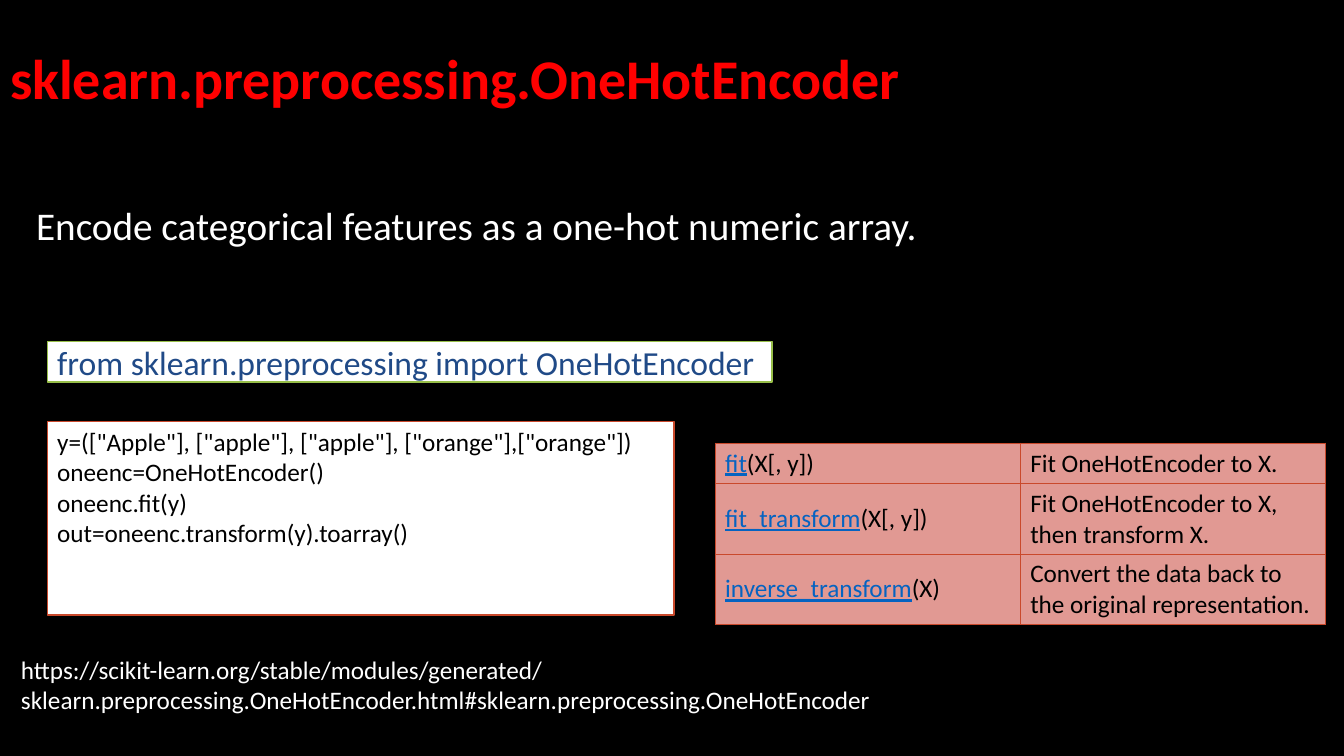
from lxml import etree
from pptx import Presentation
from pptx import util as u
from pptx.dml.color import RGBColor
from pptx.enum import shapes, text
from pptx.oxml import ns

BLACK = RGBColor(0x00, 0x00, 0x00)
WHITE = RGBColor(0xFF, 0xFF, 0xFF)
RED = RGBColor(0xFF, 0x00, 0x00)
CODE_BLUE = RGBColor(0x20, 0x4A, 0x87)
LINK_BLUE = RGBColor(0x05, 0x63, 0xC1)
GREEN = RGBColor(0x97, 0xBE, 0x49)
RUST = RGBColor(0xC9, 0x49, 0x2C)
SALMON = RGBColor(0xE1, 0x99, 0x93)

CODE_LINES = [
    'y=(["Apple"],\u00a0["apple"],\u00a0["apple"],\u00a0["orange"],["orange"])',
    "oneenc=OneHotEncoder()",
    "oneenc.fit(y)",
    "out=oneenc.transform(y).toarray()",
]
METHODS = [
    ("fit", "(X[,\u00a0y])", "Fit OneHotEncoder to X."),
    ("fit_transform", "(X[,\u00a0y])", "Fit OneHotEncoder to X, then transform X."),
    ("inverse_transform", "(X)", "Convert the data back to the original representation."),
]
ROW_HEIGHTS = [28.8, 50.4, 50.4]
URL = ("https://scikit-learn.org/stable/modules/generated/"
       "sklearn.preprocessing.OneHotEncoder.html#sklearn.preprocessing.OneHotEncoder")


def place(shape, box):
    shape.left, shape.top, shape.width, shape.height = map(u.Pt, box)


def format_paragraph(paragraph, size, color, bold=False):
    paragraph.alignment = text.PP_ALIGN.LEFT
    font = paragraph.font
    font.name, font.size, font.bold = "Calibri", u.Pt(size), bold
    font.color.rgb = color


def write_lines(frame, lines, size, color, spacing=1.0, bold=False):
    frame.text = "\n".join(lines)
    for paragraph in frame.paragraphs:
        format_paragraph(paragraph, size, color, bold)
        paragraph.line_spacing = spacing


def add_title(slide, box):
    title = slide.shapes.title
    place(title, box)
    title.text_frame.vertical_anchor = text.MSO_ANCHOR.MIDDLE
    write_lines(title.text_frame, ["sklearn.preprocessing.OneHotEncoder"], 40, RED, 0.9, True)


def add_plain_text(slide, box, content, size, spacing=1.0):
    shape = slide.shapes.add_textbox(*map(u.Pt, box))
    shape.text_frame.word_wrap = True
    write_lines(shape.text_frame, [content], size, WHITE, spacing)


def add_code_box(slide, box, lines, size, color, outline, anchor, vertical_inset):
    shape = slide.shapes.add_shape(shapes.MSO_SHAPE.RECTANGLE, *map(u.Pt, box))
    shape.shadow.inherit = False
    shape.fill.solid()
    shape.fill.fore_color.rgb = WHITE
    shape.line.color.rgb = outline
    shape.line.width = u.Pt(1)
    frame = shape.text_frame
    frame.word_wrap = len(lines) > 1
    frame.vertical_anchor = anchor
    frame.margin_top = frame.margin_bottom = u.Pt(vertical_inset)
    write_lines(frame, lines, size, color)


def style_cell(cell):
    properties = cell._tc.get_or_add_tcPr()
    for side in ("a:lnL", "a:lnR", "a:lnT", "a:lnB"):
        line = etree.SubElement(properties, ns.qn(side), w=str(u.Pt(0.5)))
        fill = etree.SubElement(line, ns.qn("a:solidFill"))
        etree.SubElement(fill, ns.qn("a:srgbClr"), val=str(RUST))
    cell.fill.solid()
    cell.fill.fore_color.rgb = SALMON
    cell.vertical_anchor = text.MSO_ANCHOR.MIDDLE
    format_paragraph(cell.text_frame.paragraphs[0], 18, BLACK)


def add_method_table(slide, box):
    table = slide.shapes.add_table(len(METHODS), 2, *map(u.Pt, box)).table
    table.first_row = table.horz_banding = False
    for row, height, (name, arguments, description) in zip(table.rows, ROW_HEIGHTS, METHODS):
        row.height = u.Pt(height)
        signature, explanation = row.cells
        paragraph = signature.text_frame.paragraphs[0]
        link = paragraph.add_run()
        link.text = name
        link.font.underline = True
        link.font.color.rgb = LINK_BLUE
        paragraph.add_run().text = arguments
        explanation.text = description
        style_cell(signature)
        style_cell(explanation)


def build_encoder_slide(presentation):
    slide = presentation.slides.add_slide(presentation.slide_layouts[5])
    slide.background.fill.solid()
    slide.background.fill.fore_color.rgb = BLACK
    add_plain_text(slide, (18.7, 144, 935.3, 342.7),
                   "Encode categorical features as a one-hot numeric array.", 28, 0.9)
    add_title(slide, (0, 5.8, 828, 104.4))
    add_code_box(slide, (33.8, 244.1, 517.7, 28.8),
                 ["from sklearn.preprocessing import OneHotEncoder"],
                 24, CODE_BLUE, GREEN, text.MSO_ANCHOR.MIDDLE, 0)
    add_code_box(slide, (33.8, 301, 447.8, 138.2), CODE_LINES,
                 18, BLACK, RUST, text.MSO_ANCHOR.TOP, 3.6)
    add_method_table(slide, (510.8, 316.4, 435.8, sum(ROW_HEIGHTS)))
    add_plain_text(slide, (7.9, 463.7, 931, 51.1), URL, 18)


presentation = Presentation()
presentation.slide_width, presentation.slide_height = u.Pt(960), u.Pt(540)
build_encoder_slide(presentation)
presentation.save("out.pptx")
